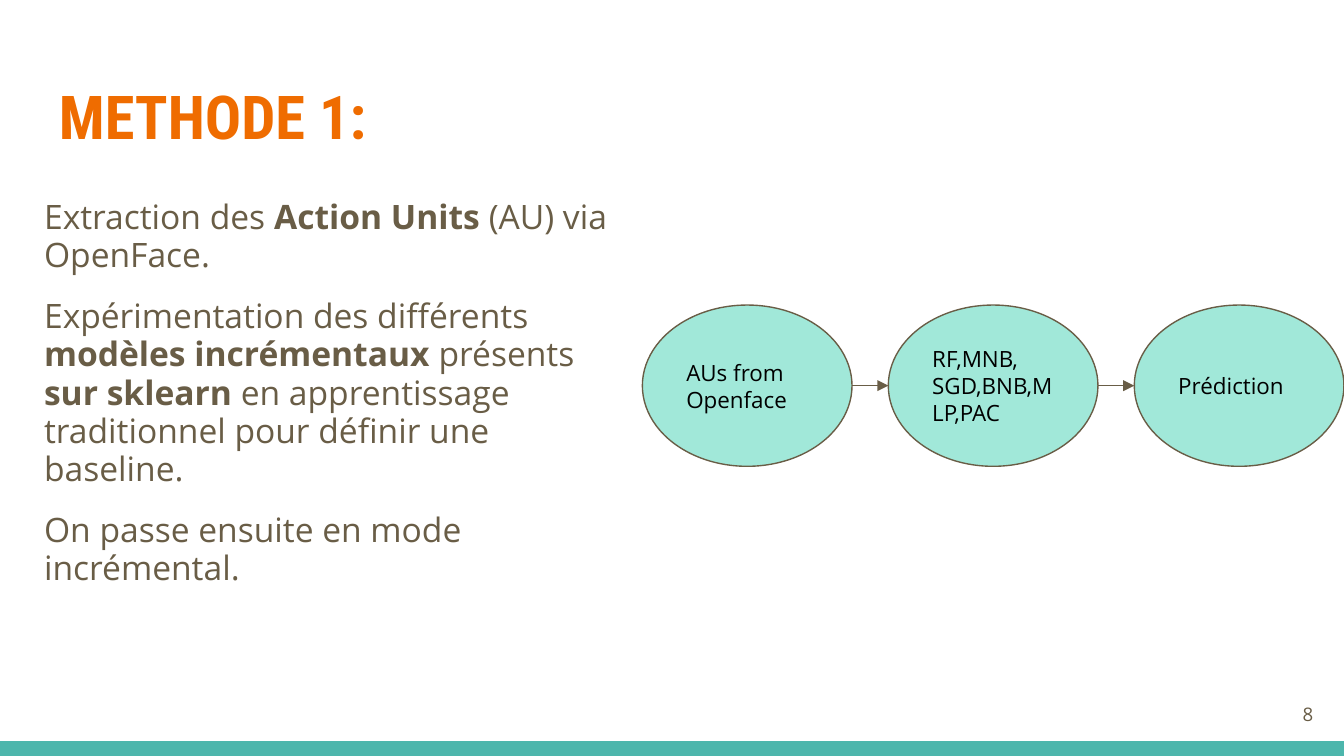
"""Build the METHODE 1 slide: a text column beside a three-step flow."""
from lxml import etree
from pptx import Presentation
from pptx.dml.color import RGBColor
from pptx.enum.shapes import MSO_CONNECTOR, MSO_SHAPE
from pptx.enum.text import MSO_ANCHOR, PP_ALIGN
from pptx.oxml.ns import qn
from pptx.util import Inches, Pt

RECT, OVAL = MSO_SHAPE.RECTANGLE, MSO_SHAPE.OVAL
LINE = MSO_CONNECTOR.STRAIGHT
TOP, MID = MSO_ANCHOR.TOP, MSO_ANCHOR.MIDDLE
LEFT, RIGHT = PP_ALIGN.LEFT, PP_ALIGN.RIGHT

WHITE = RGBColor(0xFF, 0xFF, 0xFF)
BLACK = RGBColor(0x00, 0x00, 0x00)
BROWN = RGBColor(0x69, 0x5D, 0x46)
ORANGE = RGBColor(0xEF, 0x6C, 0x00)
TEAL = RGBColor(0x4D, 0xB6, 0xAC)
MINT = RGBColor(0xA1, 0xE8, 0xD9)

HEAD = {"name": "Roboto Condensed", "size": Pt(32.4), "bold": True}
BODY = {"name": "Open Sans", "size": Pt(18)}
STEP = {"name": "Open Sans", "size": Pt(12)}
PAGE = {"name": "Open Sans", "size": Pt(10)}

PROSE = [
    [("Extraction des ", False), ("Action Units", True),
     (" (AU) via OpenFace.", False)],
    [("Expérimentation des différents ", False),
     ("modèles incrémentaux ", True), ("présents", False),
     (" sur sklearn", True),
     (" en apprentissage traditionnel pour définir une baseline.", False)],
    [("On passe ensuite en mode incrémental.", False)],
]
STEPS = [["AUs from Openface"], ["RF,MNB,", "SGD,BNB,MLP,PAC"], ["Prédiction"]]
WIDTH = 10
HEIGHT = WIDTH * 9 / 16
BAR = 0.11
START, ROW, WIDE, TALL, PITCH = 4.78, 2.27, 1.56, 1.2, 1.83


def apply(item, values):
    """Set each attribute named in the dict."""
    for key, value in values.items():
        setattr(item, key, value)


def plain(lines):
    """Turn strings into paragraphs of one regular run each."""
    return [[(line, False)] for line in lines]


def write(shape, paras, face, color, anchor=TOP, **form):
    """Fill a shape with paragraphs of (text, bold) runs."""
    frame = shape.text_frame
    side = Inches(0.1)
    apply(frame, {"word_wrap": True, "vertical_anchor": anchor,
                  "margin_left": side, "margin_right": side,
                  "margin_top": side, "margin_bottom": side})
    gap = form.pop("gap", Pt(0))
    for index, runs in enumerate(paras):
        para = frame.add_paragraph() if index else frame.paragraphs[0]
        apply(para, {"alignment": LEFT, **form})
        if index:
            para.space_before = gap
        for text, bold in runs:
            run = para.add_run()
            run.text = text
            apply(run.font, {"bold": bold, **face})
            run.font.color.rgb = color


def label(slide, box, paras, face, color, **form):
    """Add a text box."""
    shape = slide.shapes.add_textbox(*map(Inches, box))
    write(shape, paras, face, color, **form)


def block(slide, kind, box, fill, edge=None):
    """Add a filled shape, outlined when an edge colour is given."""
    shape = slide.shapes.add_shape(kind, *map(Inches, box))
    shape.shadow.inherit = False
    shape.fill.solid()
    shape.fill.fore_color.rgb = fill
    if edge is None:
        shape.line.fill.background()
    else:
        shape.line.color.rgb = edge
        shape.line.width = Pt(0.75)
    return shape


def arrow(slide, left, right, level):
    """Add a level arrow that points right."""
    ends = map(Inches, (left, level, right, level))
    link = slide.shapes.add_connector(LINE, *ends)
    link.line.color.rgb = BROWN
    link.line.width = Pt(0.75)
    tip = etree.SubElement(link.line._get_or_add_ln(), qn("a:tailEnd"))
    tip.set("type", "triangle")
    etree.SubElement(link._element.spPr, qn("a:effectLst"))


def flow(slide):
    """Draw the steps at an even pitch and join them."""
    spots = [START + index * PITCH for index in range(len(STEPS))]
    for left, lines in zip(spots, STEPS):
        oval = block(slide, OVAL, (left, ROW, WIDE, TALL), MINT, BROWN)
        write(oval, plain(lines), STEP, BLACK, anchor=MID)
    for left, right in zip(spots, spots[1:]):
        arrow(slide, left + WIDE, right, ROW + TALL / 2)


def main():
    """Build and save the slide."""
    deck = Presentation()
    apply(deck, {"slide_width": Inches(WIDTH), "slide_height": Inches(HEIGHT)})
    slide = deck.slides.add_slide(deck.slide_layouts[6])
    slide.background.fill.solid()
    slide.background.fill.fore_color.rgb = WHITE
    block(slide, RECT, (0, HEIGHT - BAR, WIDTH, BAR), TEAL)
    label(slide, (0.34, 0.49, 9.32, 0.77), plain(["METHODE 1:"]),
          HEAD, ORANGE)
    label(slide, (0.23, 1.38, 4.44, 3.61), PROSE, BODY, BROWN,
          line_spacing=0.95, gap=Pt(12))
    label(slide, (9.27, 5.1, 0.6, 0.43), plain(["8"]), PAGE, BROWN,
          anchor=MID, alignment=RIGHT)
    flow(slide)
    deck.save("out.pptx")


if __name__ == "__main__":
    main()
